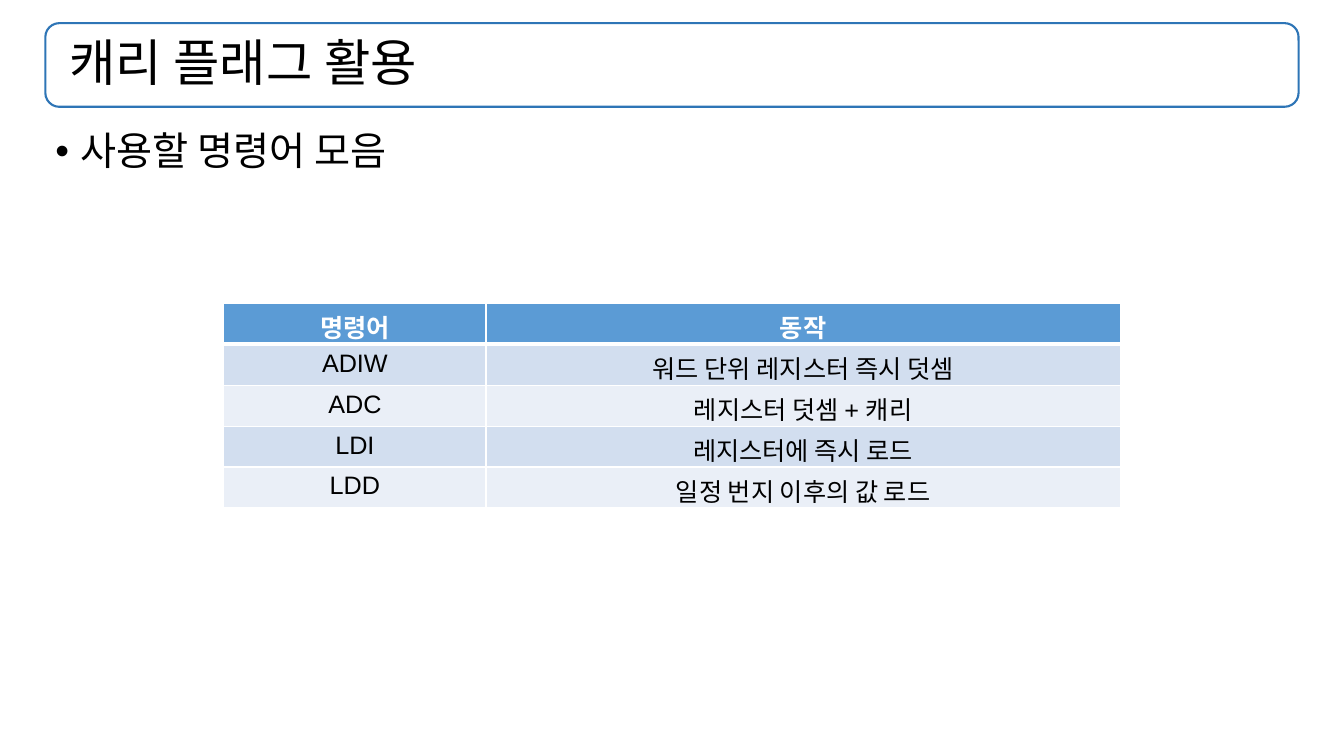
from lxml.etree import SubElement as Sub
from pptx import Presentation
from pptx.dml.color import RGBColor as Rgb
from pptx.enum.shapes import MSO_SHAPE as Shape
from pptx.enum.text import MSO_ANCHOR as Anchor, PP_ALIGN as Align
from pptx.oxml import parse_xml
from pptx.oxml.ns import nsdecls, qn
from pptx.util import Inches, Pt

COLORS = {"black": "000000", "white": "FFFFFF", "edge": "2E75B6",
          "head": "5B9BD5", "odd": "D2DEEF", "even": "EAEFF7"}
ROWS = [("명령어", "동작"),
        ("ADIW", "워드 단위 레지스터 즉시 덧셈"),
        ("ADC", "레지스터 덧셈 + 캐리"),
        ("LDI", "레지스터에 즉시 로드"),
        ("LDD", "일정 번지 이후의 값 로드")]


def color(name):
    """Return the named colour."""
    return Rgb.from_string(COLORS[name])


def write(frame, text, size=18, ink="black", bold=False, align=Align.LEFT,
          space=None, bullet=False):
    """Write one formatted paragraph into a text frame."""
    frame.word_wrap = True
    para = frame.paragraphs[0]
    para.alignment = align
    if space:
        para.line_spacing = space
    if bullet:
        props = para._p.get_or_add_pPr()
        props.set("marL", str(Inches(0.25)))
        props.set("indent", str(Inches(-0.25)))
        Sub(props, qn("a:buFont"), typeface="Arial")
        Sub(props, qn("a:buChar"), char="•")
    run = para.add_run()
    run.text = text
    font = run.font
    font.name, font.size, font.bold = "Arial", Pt(size), bold
    font.color.rgb = color(ink)


def add_title(slide, text):
    """Add the rounded title bar."""
    bar = slide.shapes.add_shape(Shape.ROUNDED_RECTANGLE, Inches(0.45),
                                 Inches(0.23), Inches(12.43), Inches(0.83))
    bar.shadow.inherit = False
    bar.fill.background()
    bar.line.color.rgb = color("edge")
    bar.line.width = Pt(1.5)
    frame = bar.text_frame
    frame.vertical_anchor = Anchor.MIDDLE
    frame.margin_left = Inches(0.2)
    write(frame, text, size=36, space=0.9)


def add_point(slide, text):
    """Add the bulleted body text."""
    box = slide.shapes.add_textbox(Inches(0.45), Inches(1.26),
                                   Inches(12.43), Inches(5.53))
    write(box.text_frame, text, size=28, space=0.9, bullet=True)


def add_edges(cell, top, bottom):
    """Draw white borders around a cell."""
    props = cell._tc.get_or_add_tcPr()
    edges = {"L": 1, "R": 1, "T": top, "B": bottom}
    for spot, (side, width) in enumerate(edges.items()):
        props.insert(spot, parse_xml(
            f'<a:ln{side} {nsdecls("a")} w="{Pt(width)}"><a:solidFill>'
            f'<a:srgbClr val="{COLORS["white"]}"/></a:solidFill></a:ln{side}>'))


def add_grid(slide, rows):
    """Add the table of instructions."""
    table = slide.shapes.add_table(len(rows), 2, Inches(2.22), Inches(3.01),
                                   Inches(8.89), Inches(2.03)).table
    for col, width in zip(table.columns, (2.6, 6.29)):
        col.width = Inches(width)
    for i, row in enumerate(rows):
        head = i == 0
        fill = "head" if head else ("even", "odd")[i % 2]
        for j, text in enumerate(row):
            cell = table.cell(i, j)
            cell.fill.solid()
            cell.fill.fore_color.rgb = color(fill)
            add_edges(cell, top=3 if i == 1 else 1, bottom=3 if head else 1)
            write(cell.text_frame, text, ink="white" if head else "black",
                  bold=head, align=Align.CENTER)


def main():
    """Build and save the slide."""
    deck = Presentation()
    deck.slide_width, deck.slide_height = Inches(13.33), Inches(7.5)
    slide = deck.slides.add_slide(deck.slide_layouts[6])
    add_title(slide, "캐리 플래그 활용")
    add_point(slide, "사용할 명령어 모음")
    add_grid(slide, ROWS)
    deck.save("out.pptx")


if __name__ == "__main__":
    main()
